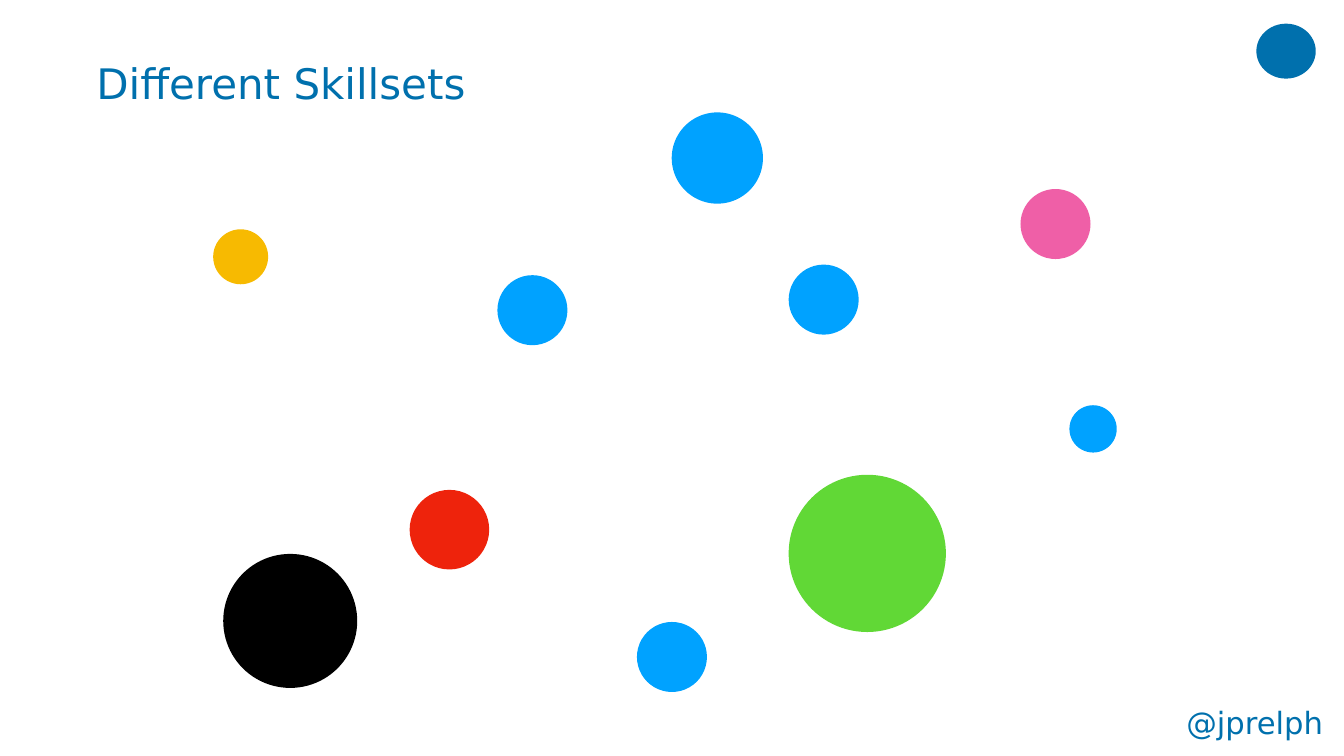
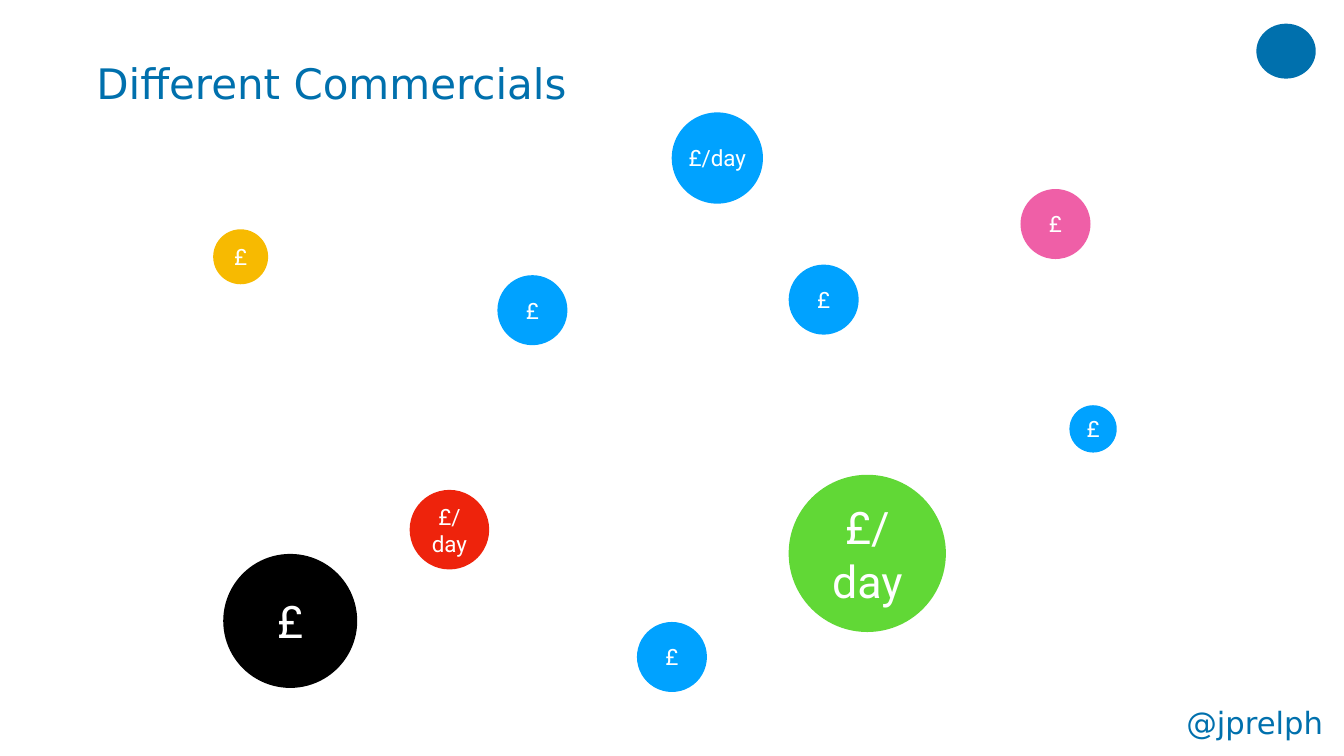
"""Build two slides of scattered circles: skillsets and commercials."""
from pptx import Presentation
from pptx.dml.color import RGBColor
from pptx.enum.shapes import MSO_SHAPE
from pptx.enum.text import MSO_ANCHOR, MSO_AUTO_SIZE, PP_ALIGN
from pptx.util import Inches, Pt

ELLIPSE = MSO_SHAPE.OVAL
MIDDLE = MSO_ANCHOR.MIDDLE
NO_FIT = MSO_AUTO_SIZE.NONE
LEFT, CENTER = PP_ALIGN.LEFT, PP_ALIGN.CENTER

WIDTH, HEIGHT = Inches(26.67), Inches(15)
TITLE_ONLY = 5
BRAND_FONT, CIRCLE_FONT = "DejaVu Sans", "Roboto"
COLORS = {
    "brand": "0070AD",
    "white": "FFFFFF",
    "blue": "00A2FF",
    "yellow": "F7BA01",
    "red": "EE230C",
    "black": "000000",
    "green": "61D836",
    "pink": "EF5FA7",
}

SLIDE_BOX = (0, 0, WIDTH, HEIGHT)
TITLE_AREA = (6.94, 2.6, 86.13, 16.67)
EMBLEM_AREA = (93.48, 3.13, 4.42, 7.27)
HANDLE_AREA = (88.04, 92.73, 11.59, 5.6)

# Left, top and diameter are percentages; the diameter is of the slide's width.
CIRCLES = [
    (15.86, 30.33, 4.09, "yellow", "£", 32),
    (30.48, 64.8, 5.92, "red", "£/day", 32),
    (58.68, 35, 5.21, "blue", "£", 32),
    (16.61, 73.27, 9.97, "black", "£", 64),
    (37.01, 36.4, 5.21, "blue", "£", 32),
    (58.68, 62.8, 11.7, "green", "£/day", 64),
    (75.93, 25, 5.21, "pink", "£", 32),
    (79.57, 53.6, 3.52, "blue", "£", 32),
    (47.39, 82.27, 5.21, "blue", "£", 32),
    (49.98, 14.87, 6.79, "blue", "£/day", 32),
]


def color(name):
    """Return the named colour."""
    return RGBColor.from_string(COLORS[name])


def area_in(box, area):
    """Turn percentages of a box into left, top, width and height."""
    left, top, width, height = box
    x, y, w, h = (share / 100 for share in area)
    return (int(left + x * width), int(top + y * height),
            int(w * width), int(h * height))


def write(shape, text, size, font, ink, align=LEFT, inset=0.06):
    """Put one formatted line of text in a shape."""
    frame = shape.text_frame
    frame.text = text
    frame.word_wrap = True
    frame.auto_size = NO_FIT
    frame.vertical_anchor = MIDDLE
    frame.margin_left = frame.margin_right = Inches(inset)
    frame.margin_top = frame.margin_bottom = Inches(inset)
    para = frame.paragraphs[0]
    para.alignment = align
    for span in para.runs:
        span.font.size = Pt(size)
        span.font.name = font
        span.font.color.rgb = color(ink)


def add_ellipse(page, place, fill):
    """Add a plain filled ellipse."""
    ellipse = page.shapes.add_shape(ELLIPSE, *place)
    ellipse.shadow.inherit = False
    ellipse.fill.solid()
    ellipse.fill.fore_color.rgb = color(fill)
    ellipse.line.fill.background()
    return ellipse


def add_heading(page, box, text):
    """Place the title and the plain corner emblem."""
    add_ellipse(page, area_in(box, EMBLEM_AREA), "brand")
    title = page.shapes.title
    title.left, title.top, title.width, title.height = area_in(box, TITLE_AREA)
    write(title, text, 60, BRAND_FONT, "brand")


def add_circles(page, box, labelled):
    """Scatter the circles over the box, with or without their prices."""
    for x, y, diameter, fill, label, size in CIRCLES:
        left, top, side, _ = area_in(box, (x, y, diameter, 0))
        circle = add_ellipse(page, (left, top, side, side), fill)
        if labelled:
            write(circle, label, size, CIRCLE_FONT, "white", CENTER, 0)


def add_handle(page, box):
    """Place the speaker's handle in the bottom corner."""
    handle = page.shapes.add_textbox(*area_in(box, HANDLE_AREA))
    write(handle, "@jprelph", 43.8, BRAND_FONT, "brand")


def add_circle_slide(deck, title, labelled):
    """Add one slide of circles."""
    page = deck.slides.add_slide(deck.slide_layouts[TITLE_ONLY])
    add_heading(page, SLIDE_BOX, title)
    add_circles(page, SLIDE_BOX, labelled)
    add_handle(page, SLIDE_BOX)


def main():
    """Build and save the deck."""
    deck = Presentation()
    deck.slide_width, deck.slide_height = WIDTH, HEIGHT
    add_circle_slide(deck, "Different Skillsets", False)
    add_circle_slide(deck, "Different Commercials", True)
    deck.save("out.pptx")


if __name__ == "__main__":
    main()
